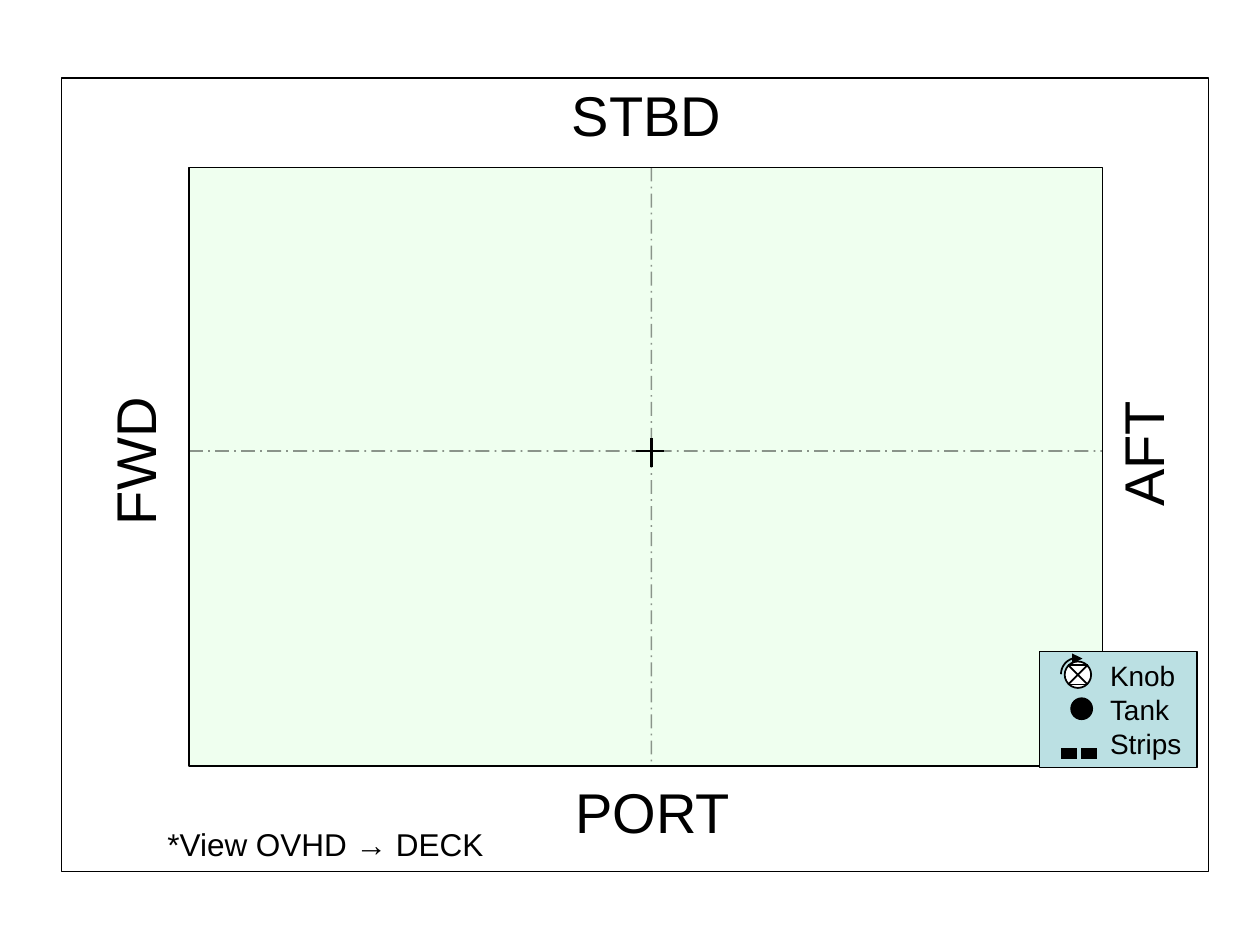
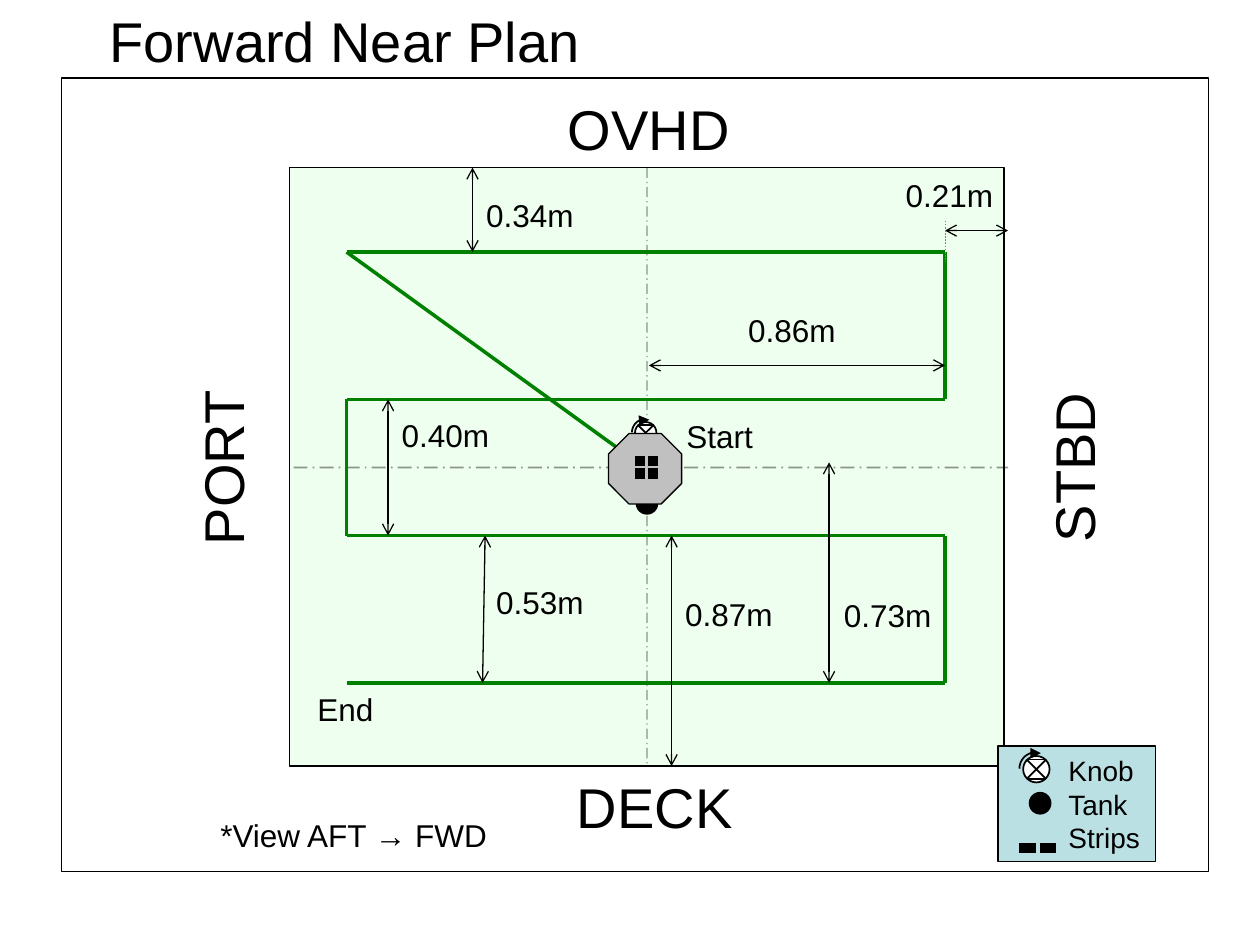
from dataclasses import dataclass
from itertools import pairwise, product
from math import cos, radians, sin

from lxml import etree
from pptx import Presentation
from pptx.dml.color import RGBColor
from pptx.enum import dml, shapes, text
from pptx.oxml.ns import qn
from pptx.util import Inches, Pt


@dataclass(frozen=True)
class Theme:
    font: str = "Arial"
    ink: str = "000000"
    paper: str = "FFFFFF"
    area: str = "CCFFCC"
    legend: str = "BBE0E3"
    route: str = "008000"
    body: str = "C0C0C0"
    guide: str = "808080"
    heading: int = 32
    label: int = 18
    key: int = 16
    hairline: float = 0.75
    patch: float = 6


THEME = Theme()
SHAPE = shapes.MSO_SHAPE
DASH = dml.MSO_LINE


def rgb(value):
    return RGBColor.from_string(value)


def set_alpha(sp, percent):
    color = next(sp.element.spPr.iter(qn("a:srgbClr")))
    etree.SubElement(color, qn("a:alpha")).set("val", str(percent * 1000))


def style_line(line, color, width):
    line.color.rgb = rgb(color)
    line.width = Pt(width)


def add_end(line, end, kind):
    etree.SubElement(line._get_or_add_ln(), qn(f"a:{end}")).set("type", kind)


def add_box(slide, kind, at, fill, width=THEME.hairline):
    sp = slide.shapes.add_shape(kind, *map(Inches, at))
    sp.shadow.inherit = False
    sp.fill.solid()
    sp.fill.fore_color.rgb = rgb(fill)
    style_line(sp.line, THEME.ink, width)
    return sp


def add_line(slide, start, end, width=THEME.hairline, color=THEME.ink, dash=None):
    line = slide.shapes.add_connector(
        shapes.MSO_CONNECTOR.STRAIGHT, *map(Inches, (*start, *end)))
    style_line(line.line, color, width)
    if dash:
        line.line.dash_style = dash
    etree.SubElement(line.element.spPr, qn("a:effectLst"))
    return line


def add_dimension(slide, start, end):
    line = add_line(slide, start, end)
    for name in ("headEnd", "tailEnd"):
        add_end(line.line, name, "arrow")


def add_centreline(slide, start, end, width=1):
    line = add_line(slide, start, end, width, dash=DASH.LONG_DASH_DOT)
    set_alpha(line, 41)
    return line


def style_paragraph(p, size):
    p.font.name = THEME.font
    p.font.size = Pt(size)
    p.font.color.rgb = rgb(THEME.ink)
    p.alignment = text.PP_ALIGN.LEFT


def add_label(slide, words, at, size=THEME.label, rotation=0):
    sp = slide.shapes.add_textbox(*map(Inches, at))
    sp.rotation = rotation
    tf = sp.text_frame
    tf.word_wrap = True
    tf.text = words
    style_paragraph(tf.paragraphs[0], size)


def add_side(slide, words, left, top, width, rotation=0):
    add_label(slide, words, (left, top, width, 0.64), THEME.heading, rotation)


def add_title(slide, words):
    title = slide.shapes.title
    title.left, title.top, title.width, title.height = map(Inches, (0.77, 0, 6, 0.64))
    tf = title.text_frame
    tf.text = words
    tf.vertical_anchor = text.MSO_ANCHOR.TOP
    style_paragraph(tf.paragraphs[0], THEME.heading)


def add_area(slide, left, width):
    add_box(slide, SHAPE.RECTANGLE, (0.49, 0.62, 9.1, 6.3), THEME.paper)
    area = add_box(slide, SHAPE.RECTANGLE, (left, 1.33, width, 4.75), THEME.area)
    set_alpha(area, 30)
    return area


def add_cross(slide):
    add_line(slide, (5.17, 3.48), (5.17, 3.71), 1.5)
    add_line(slide, (5.05, 3.58), (5.27, 3.58), 1.5)


def add_tank(slide, left, top):
    add_box(slide, SHAPE.OVAL, (left, top, 0.17, 0.17), THEME.ink)


def add_patch(slide, left, y, width):
    add_line(slide, (left, y), (left + width, y), THEME.patch)


def add_knob(slide, left, top, size):
    add_box(slide, SHAPE.OVAL, (left, top, size, size), THEME.paper, 1)
    near, far = 0.13 * size, 0.87 * size
    west, east, north, south = left + near, left + far, top + near, top + far
    corners = [(west, north), (east, north), (west, south), (east, south), (west, north)]
    for start, end in pairwise(corners):
        add_line(slide, start, end, 1)

    radius, middle = 0.62 * size, 0.48 * size
    turn = [(Inches(left + middle + radius * cos(radians(a))),
             Inches(top + middle + radius * sin(radians(a))))
            for a in range(180, 289, 9)]
    builder = slide.shapes.build_freeform(*turn[0])
    builder.add_line_segments(turn[1:], close=False)
    arrow = builder.convert_to_shape()
    arrow.shadow.inherit = False
    arrow.fill.background()
    style_line(arrow.line, THEME.ink, 1)
    add_end(arrow.line, "tailEnd", "triangle")


def add_legend(slide, left, top):
    box = add_box(slide, SHAPE.RECTANGLE, (left, top, 1.25, 0.92), THEME.legend)
    tf = box.text_frame
    tf.word_wrap = True
    tf.vertical_anchor = text.MSO_ANCHOR.MIDDLE
    tf.margin_left = tf.margin_right = Inches(0.06)
    tf.text = "Knob\nTank\nStrips"
    for p in tf.paragraphs:
        style_paragraph(p, THEME.key)
        p._p.get_or_add_pPr().set("marL", str(Inches(0.5)))
    add_tank(slide, left + 0.25, top + 0.37)
    for offset in (0.17, 0.33):
        add_patch(slide, left + offset, top + 0.81, 0.13)
    add_knob(slide, left + 0.2, top + 0.08, 0.21)


def add_robot(slide):
    add_knob(slide, 5.04, 3.35, 0.17)
    add_tank(slide, 5.05, 3.91)
    body = add_box(slide, SHAPE.OCTAGON, (4.83, 3.44, 0.58, 0.56), THEME.body)
    body.adjustments[0] = 0.29
    for left, y in product((5.04, 5.14), (3.66, 3.76)):
        add_patch(slide, left, y, 0.08)


def build_overhead_view(prs):
    slide = prs.slides.add_slide(prs.slide_layouts[6])
    add_area(slide, 1.5, 7.25)
    add_side(slide, "STBD", 4.44, 0.59, 1.5)
    add_side(slide, "PORT", 4.47, 6.12, 1.5)
    add_side(slide, "FWD", 0.44, 3.32, 1.25, 270)
    add_side(slide, "AFT", 8.53, 3.26, 1.08, 270)
    add_cross(slide)
    add_label(slide, "*View OVHD → DECK", (1.23, 6.5, 2.93, 0.4))
    add_centreline(slide, (1.5, 3.58), (8.75, 3.58))
    add_centreline(slide, (5.17, 1.33), (5.17, 6.08))
    add_legend(slide, 8.25, 5.17)


def build_forward_plan(prs):
    slide = prs.slides.add_slide(prs.slide_layouts[5])
    add_title(slide, "Forward Near Plan")
    area = add_area(slide, 2.3, 5.67)
    add_side(slide, "OVHD", 4.41, 0.7, 1.6)
    add_side(slide, "DECK", 4.48, 6.08, 1.6)
    add_side(slide, "PORT", 1.03, 3.37, 1.47, 270)
    add_side(slide, "STBD", 7.81, 3.37, 1.42, 270)
    add_legend(slide, 7.92, 5.92)
    add_label(slide, "*View AFT → FWD", (1.65, 6.43, 2.93, 0.4))
    add_cross(slide)
    add_centreline(slide, (2.33, 3.71), (8, 3.71))
    upright = add_centreline(slide, (5.12, 1.33), (5.12, 6.08), THEME.hairline)
    upright.begin_connect(area, 0)
    upright.end_connect(area, 2)

    west, east = 2.75, 7.5
    route = [(5.17, 3.75), (west, 2), (east, 2), (east, 3.17), (west, 3.17),
             (west, 4.25), (east, 4.25), (east, 5.42), (west, 5.42)]
    for start, end in pairwise(route):
        add_line(slide, start, end, 2, THEME.route)
    add_robot(slide)

    dimensions = [
        ("0.86m", (5.15, 2.9), (east, 2.9), (5.84, 2.42)),
        ("0.40m", (3.08, 4.25), (3.08, 3.17), (3.09, 3.25)),
        ("0.34m", (3.75, 2), (3.75, 1.33), (3.76, 1.51)),
        ("0.21m", (east, 1.83), (8, 1.83), (7.09, 1.35)),
        ("0.87m", (5.33, 6.08), (5.33, 4.25), (5.34, 4.67)),
        ("0.73m", (6.58, 5.42), (6.58, 3.67), (6.6, 4.68)),
        ("0.53m", (3.83, 5.42), (3.85, 4.25), (3.84, 4.58)),
    ]
    for words, start, end, place in dimensions:
        add_dimension(slide, start, end)
        add_label(slide, words, (*place, 1, 0.4))
    add_label(slide, "Start", (5.35, 3.26, 0.8, 0.4))
    add_label(slide, "End", (2.42, 5.43, 0.8, 0.4))
    add_line(slide, (east, 1.75), (east, 2.08), 0.25, THEME.guide, DASH.DASH)


def main():
    prs = Presentation()
    prs.slide_width, prs.slide_height = Inches(10), Inches(7.5)
    build_overhead_view(prs)
    build_forward_plan(prs)
    prs.save("out.pptx")


if __name__ == "__main__":
    main()
